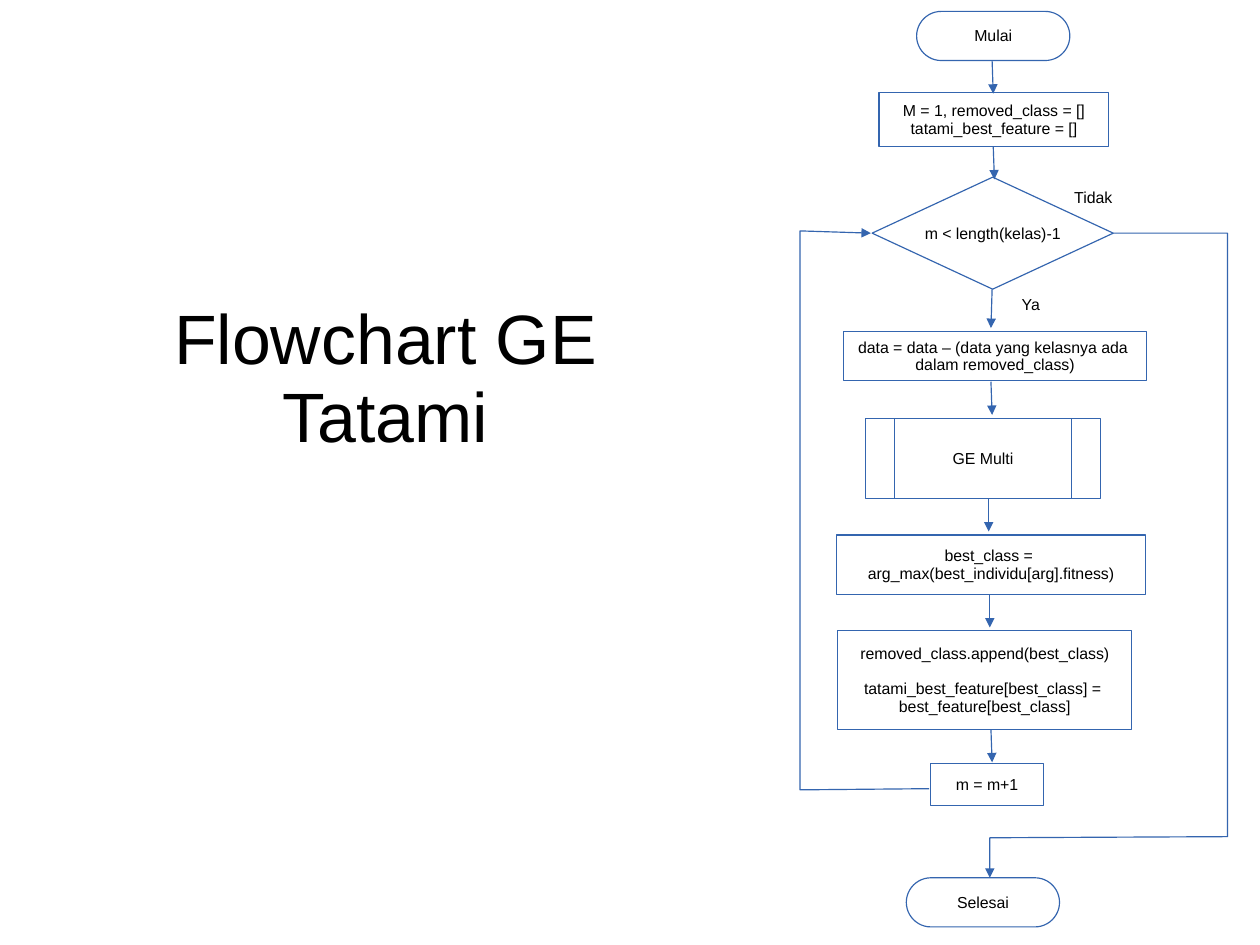
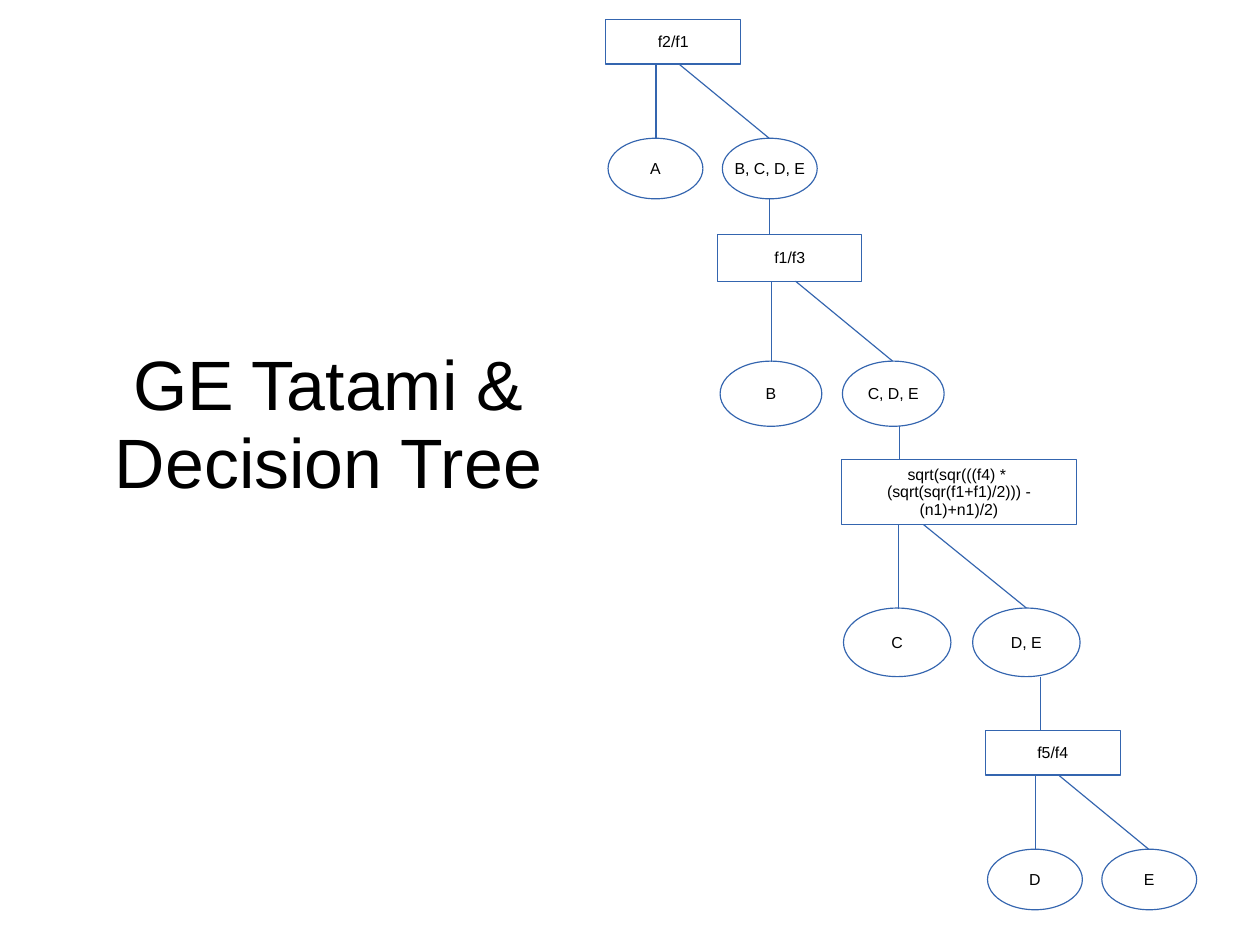
import lxml.etree
import pptx
import pptx.dml.color
import pptx.enum.shapes
import pptx.enum.text
import pptx.oxml.ns
import pptx.util

PX = 9144
FONT = "Arial"
BLUE = "3465AF"
BLACK = "000000"

qn = pptx.oxml.ns.qn
color = pptx.dml.color.RGBColor.from_string
Shape = pptx.enum.shapes.MSO_SHAPE
Align = pptx.enum.text.PP_ALIGN
Anchor = pptx.enum.text.MSO_ANCHOR


def write_text(frame, text, size=10, align=Align.CENTER, anchor=Anchor.MIDDLE,
               margins=(10, 6, 10, 5), wrap=False):
    frame.auto_size = pptx.enum.text.MSO_AUTO_SIZE.NONE
    frame.word_wrap = wrap
    frame.vertical_anchor = anchor
    (frame.margin_left, frame.margin_top,
     frame.margin_right, frame.margin_bottom) = [side * PX for side in margins]
    for index, block in enumerate(text.split("\n\n")):
        para = frame.add_paragraph() if index else frame.paragraphs[0]
        para.text = block.replace("\n", "\v")
        para.alignment = align
        para.line_spacing = 0.93
        if index:
            para.space_before = pptx.util.Pt(11)
        for span in para.runs:
            span.font.name = FONT
            span.font.size = pptx.util.Pt(size)
            span.font.color.rgb = color(BLACK)
        for line_break in para._p.findall(qn("a:br")):
            lxml.etree.SubElement(line_break, qn("a:rPr"), sz=str(size * 100))


def draw_link(page, points, arrow=False):
    if len(points) == 2:
        ends = [value * PX for point in points for value in point]
        link = page.shapes.add_connector(pptx.enum.shapes.MSO_CONNECTOR.STRAIGHT, *ends)
    else:
        builder = page.shapes.build_freeform(*points[0], scale=PX)
        builder.add_line_segments(points[1:], close=False)
        link = builder.convert_to_shape()
        link.fill.background()
    link.line.color.rgb = color(BLUE)
    link.line.width = pptx.util.Pt(0.75)
    properties = link.element.spPr
    if arrow:
        lxml.etree.SubElement(properties.find(qn("a:ln")), qn("a:tailEnd"), type="triangle")
    lxml.etree.SubElement(properties, qn("a:effectLst"))


flow_nodes = [
    (Shape.FLOWCHART_TERMINATOR, 802, 10, 134, 43, "Mulai"),
    (Shape.FLOWCHART_PROCESS, 769, 81, 201, 47,
     "M = 1, removed_class = []\ntatami_best_feature = []"),
    (Shape.FLOWCHART_DECISION, 763, 155, 211, 98, "m < length(kelas)-1"),
    (Shape.FLOWCHART_PROCESS, 738, 290, 265, 43,
     "data = data – (data yang kelasnya ada \ndalam removed_class)"),
    (Shape.FLOWCHART_PREDEFINED_PROCESS, 757, 366, 206, 70, "GE Multi"),
    (Shape.FLOWCHART_PROCESS, 732, 468, 270, 52,
     "best_class = \narg_max(best_individu[arg].fitness)"),
    (Shape.FLOWCHART_PROCESS, 733, 552, 257, 86,
     "removed_class.append(best_class)\n\n"
     "tatami_best_feature[best_class] = \nbest_feature[best_class]"),
    (Shape.FLOWCHART_PROCESS, 814, 668, 99, 37, "m = m+1"),
    (Shape.FLOWCHART_TERMINATOR, 793, 768, 134, 43, "Selesai"),
]
flow_links = [
    [(868, 53), (869, 82)],
    [(869, 128), (870, 157)],
    [(868, 253), (867, 287)],
    [(867, 334), (868, 363)],
    [(865, 436), (865, 465)],
    [(866, 520), (866, 549)],
    [(867, 638), (868, 667)],
    [(974, 204), (1074, 204), (1074, 732), (866, 733), (866, 768)],
    [(813, 690), (700, 691), (700, 202), (762, 204)],
]
flow_labels = [(930, 160, 61, 34, "Tidak"), (884, 253, 40, 27, "Ya")]

tree_levels = [
    (530, 17, 118, 39, 1, "f2/f1", "A", "B, C, D, E", 673),
    (628, 205, 126, 41, 1.07, "f1/f3", "B", "C, D, E", 787),
    (736, 402, 206, 57, 1.13,
     "sqrt(sqr(((f4) * \n(sqrt(sqr(f1+f1)/2))) -\n(n1)+n1)/2)", "C", "D, E", 910),
    (862, 639, 118, 39, 1, "f5/f4", "D", "E", None),
]
tree_nodes = []
tree_links = []
for index, (left, top, width, height, ratio, rule, leaf, rest, trunk) in enumerate(tree_levels):
    oval_width, oval_height, step, drop, stem, branch = [
        round(length * ratio) for length in (83, 53, 100, 65, 44, 64)]
    bottom = top + height
    oval_top = bottom + drop
    first = left + 2
    second = first + step
    tree_nodes += [
        (Shape.RECTANGLE, left, top, width, height, rule),
        (Shape.OVAL, first, oval_top, oval_width, oval_height, leaf),
        (Shape.OVAL, second, oval_top, oval_width, oval_height, rest),
    ]
    tree_links += [
        [(left + stem, bottom), (left + stem, oval_top + 1)],
        [(left + branch, bottom), (second + oval_width // 2, oval_top)],
    ]
    if trunk:
        next_top = tree_levels[index + 1][1]
        tree_links.append([(trunk, oval_top + oval_height), (trunk, next_top)])

pages = [
    ("Flowchart GE Tatami", (65, 262, 545, 138), flow_nodes, flow_links, flow_labels, True),
    ("GE Tatami & Decision Tree", (20, 302, 535, 138), tree_nodes, tree_links, [], False),
]

deck = pptx.Presentation()
deck.slide_width = pptx.util.Cm(28)
deck.slide_height = pptx.util.Cm(21)

for heading, place, nodes, links, labels, arrow in pages:
    page = deck.slides.add_slide(deck.slide_layouts[5])
    title = page.shapes.title
    title.left, title.top, title.width, title.height = [value * PX for value in place]
    write_text(title.text_frame, heading, size=44, margins=(0, 4, 0, 0), wrap=True)
    for kind, *frame, text in nodes:
        node = page.shapes.add_shape(kind, *[value * PX for value in frame])
        node.shadow.inherit = False
        node.fill.background()
        node.line.color.rgb = color(BLUE)
        node.line.width = pptx.util.Pt(0.75)
        write_text(node.text_frame, text)
    for *frame, text in labels:
        box = page.shapes.add_textbox(*[value * PX for value in frame])
        write_text(box.text_frame, text, align=Align.LEFT, anchor=Anchor.TOP, wrap=True)
    for points in links:
        draw_link(page, points, arrow)

deck.save("out.pptx")
